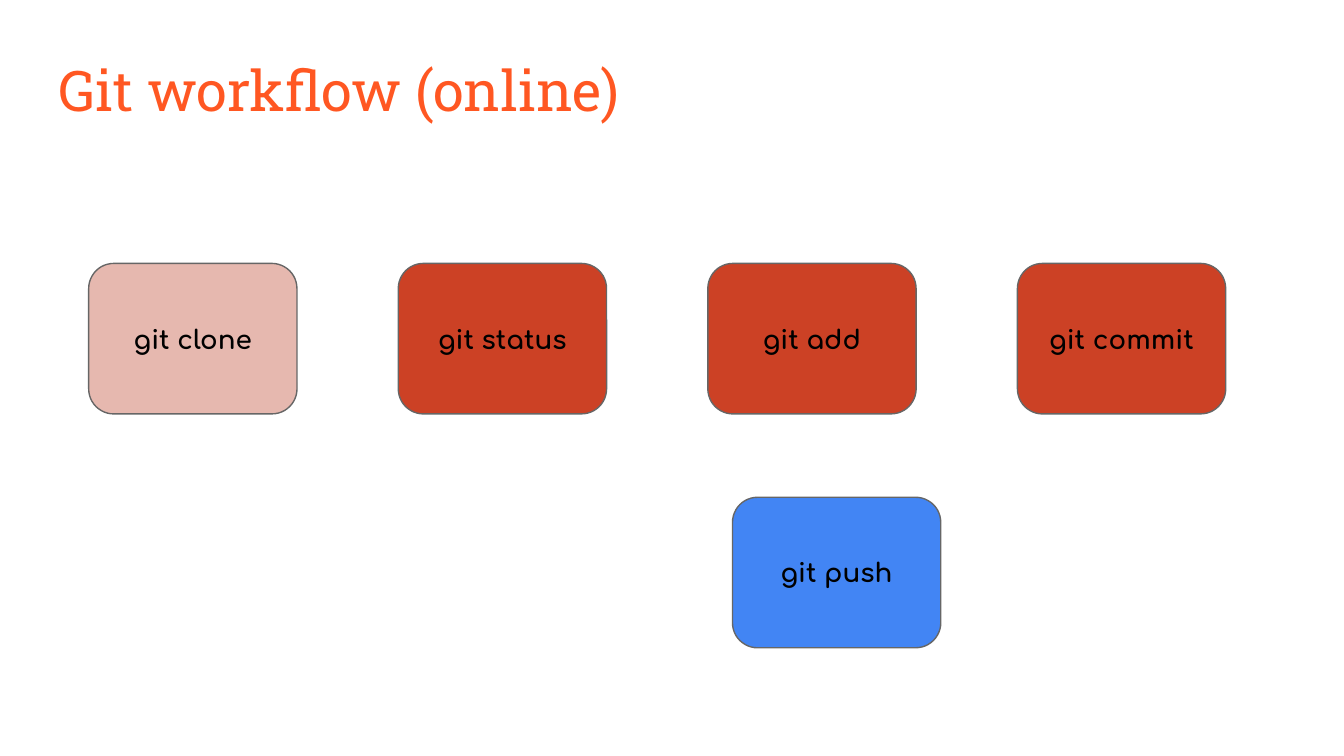
from dataclasses import dataclass

from pptx import Presentation
from pptx.dml.color import RGBColor
from pptx.enum.shapes import MSO_SHAPE
from pptx.enum.text import MSO_ANCHOR, PP_ALIGN
from pptx.util import Inches, Pt

ROUNDED = MSO_SHAPE.ROUNDED_RECTANGLE
TOP, MIDDLE = MSO_ANCHOR.TOP, MSO_ANCHOR.MIDDLE
LEFT, CENTER = PP_ALIGN.LEFT, PP_ALIGN.CENTER


@dataclass(frozen=True)
class Theme:
    """Colours, fonts and sizes of the slide."""
    background: str = "FFFFFF"
    title: str = "FF5722"
    text: str = "000000"
    outline: str = "666666"
    setup: str = "E6B8AF"
    local: str = "CC4125"
    remote: str = "4285F4"
    title_font: str = "Roboto Slab"
    step_font: str = "Comfortaa"
    title_size: int = 30
    step_size: int = 14
    outline_width: float = 0.75


THEME = Theme()
STEP_WIDTH, STEP_HEIGHT = 1.55, 1.12
LOCAL_STEPS = (
    ("git clone", THEME.setup),
    ("git status", THEME.local),
    ("git add", THEME.local),
    ("git commit", THEME.local),
)


def write_text(shape, text, font, size, color, bold, align, anchor):
    """Put one styled paragraph into a shape."""
    frame = shape.text_frame
    frame.word_wrap = True
    frame.vertical_anchor = anchor
    frame.margin_left = frame.margin_right = Inches(0.1)
    frame.margin_top = frame.margin_bottom = Inches(0.1)
    para = frame.paragraphs[0]
    para.text = text
    para.alignment = align
    para.font.name = font
    para.font.size = Pt(size)
    para.font.bold = bold
    para.font.color.rgb = RGBColor.from_string(color)


def add_title(page, text, left, top, width, height):
    """Add the slide title in the given box."""
    box = page.shapes.add_textbox(Inches(left), Inches(top), Inches(width), Inches(height))
    write_text(box, text, THEME.title_font, THEME.title_size, THEME.title, False, LEFT, TOP)


def add_step(page, command, color, left, top):
    """Add one rounded command box."""
    step = page.shapes.add_shape(
        ROUNDED, Inches(left), Inches(top), Inches(STEP_WIDTH), Inches(STEP_HEIGHT)
    )
    step.shadow.inherit = False
    step.fill.solid()
    step.fill.fore_color.rgb = RGBColor.from_string(color)
    step.line.color.rgb = RGBColor.from_string(THEME.outline)
    step.line.width = Pt(THEME.outline_width)
    write_text(step, command, THEME.step_font, THEME.step_size, THEME.text, True, CENTER, MIDDLE)


def add_step_row(page, steps, left, top, width):
    """Spread command boxes evenly across the given width."""
    pitch = (width - STEP_WIDTH) / (len(steps) - 1)
    for index, (command, color) in enumerate(steps):
        add_step(page, command, color, left + index * pitch, top)


def build_workflow(deck):
    """Add the workflow slide to the deck."""
    page = deck.slides.add_slide(deck.slide_layouts[6])
    page.background.fill.solid()
    page.background.fill.fore_color.rgb = RGBColor.from_string(THEME.background)
    add_title(page, "Git workflow (online)", 0.34, 0.31, 9.32, 0.88)
    add_step_row(page, LOCAL_STEPS, 0.66, 1.96, 8.46)
    add_step(page, "git push", THEME.remote, 5.45, 3.7)


def main():
    """Build and save the deck."""
    deck = Presentation()
    deck.slide_width = Inches(10)
    deck.slide_height = deck.slide_width * 9 // 16
    build_workflow(deck)
    deck.save("out.pptx")


if __name__ == "__main__":
    main()
